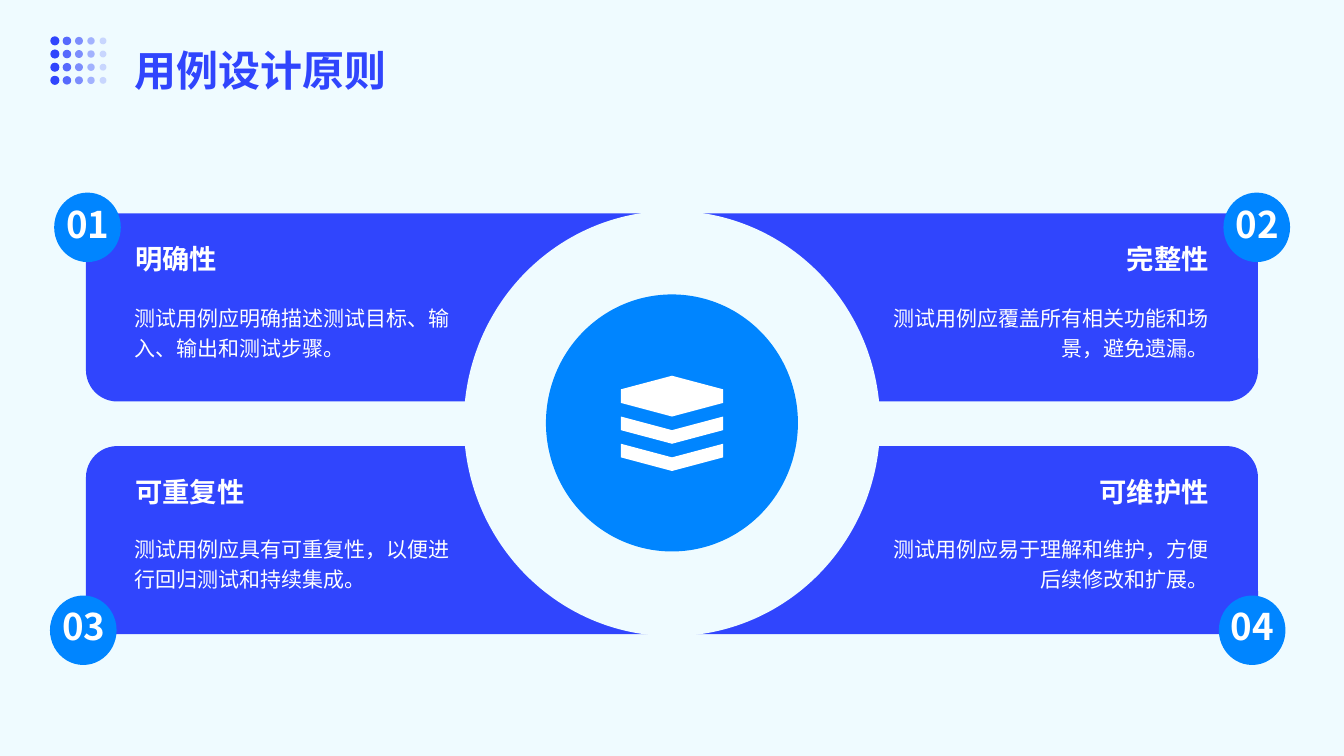
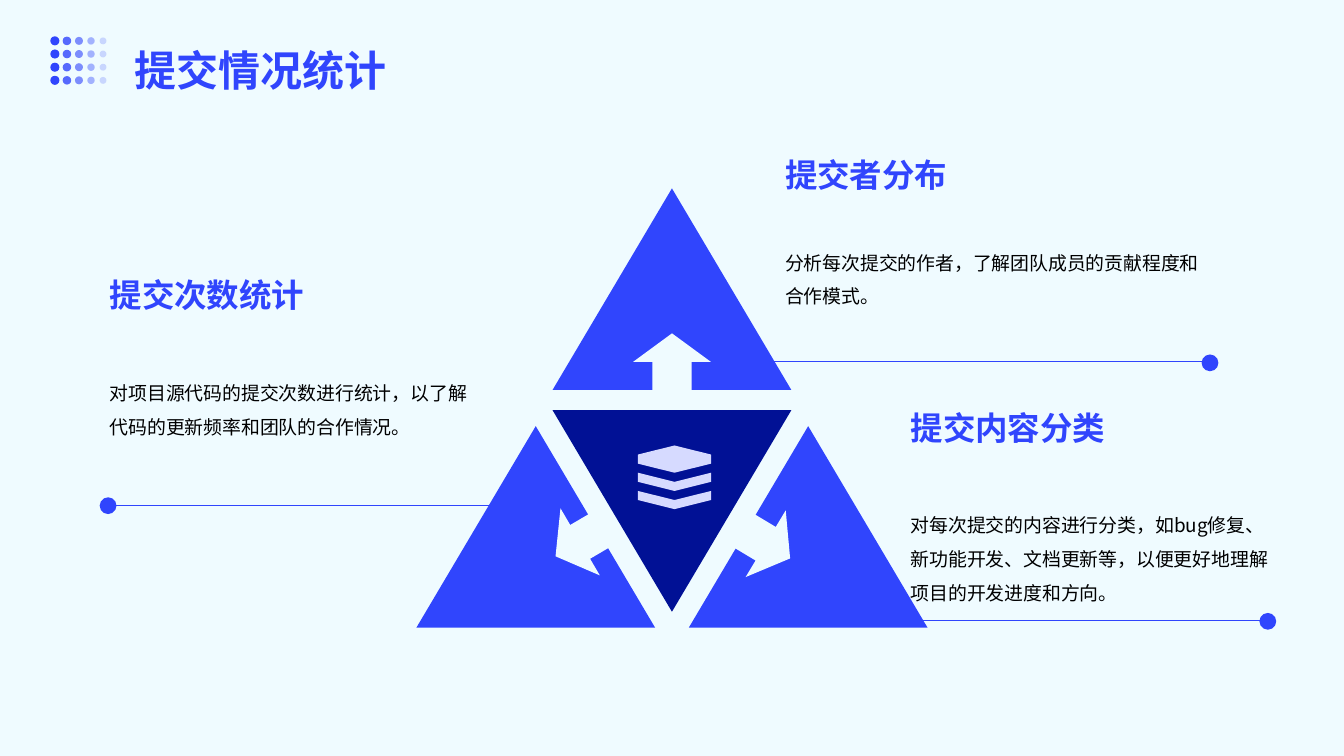
from dataclasses import dataclass

from lxml import etree
from pptx import Presentation
from pptx.dml.color import RGBColor
from pptx.enum.shapes import MSO_CONNECTOR, MSO_SHAPE
from pptx.enum.text import MSO_ANCHOR, PP_ALIGN
from pptx.oxml.ns import qn
from pptx.util import Pt

OVAL = MSO_SHAPE.OVAL
ROUND = MSO_SHAPE.ROUNDED_RECTANGLE
TRIANGLE = MSO_SHAPE.ISOSCELES_TRIANGLE
STRAIGHT = MSO_CONNECTOR.STRAIGHT
TOP = MSO_ANCHOR.TOP
LEFT = PP_ALIGN.LEFT
RIGHT = PP_ALIGN.RIGHT

WIDTH, HEIGHT = 960, 540
MIDDLE = WIDTH / 2
TIGHT = (8.64, 4.32, 8.64, 4.32)
LOOSE = (10, 10, 4.3, 10)


@dataclass(frozen=True)
class Theme:
    font: str = "Noto Sans CJK SC"
    paper: str = "EFFBFF"
    main: str = "3045FD"
    bright: str = "0085FF"
    deep: str = "011195"
    pale: str = "D6DAFF"
    white: str = "FFFFFF"
    ink: str = "000000"
    title: float = 30
    number: float = 26.2
    label: float = 23.2
    head: float = 19.5
    text: float = 15
    note: float = 13.5


THEME = Theme()


def rgb(code):
    return RGBColor.from_string(code)


class Deck:
    def __init__(self, theme):
        self.theme = theme
        self.show = Presentation()
        self.show.slide_width = Pt(WIDTH)
        self.show.slide_height = Pt(HEIGHT)
        back = self.show.slide_master.background.fill
        back.solid()
        back.fore_color.rgb = rgb(theme.paper)
        self.slide = None

    def page(self, title):
        self.slide = self.show.slides.add_slide(self.show.slide_layouts[6])
        for row in range(4):
            for col in range(5):
                self.dot(39.2 + 8.6 * col, 29.2 + 9.4 * row,
                         6.5 - 0.4 * col, alpha=100 - 20 * col)
        self.label(title, 86.4, 7.2, 787.7, 72, size=self.theme.title,
                   color=self.theme.main, bold=True, space=1.4, inset=LOOSE)

    def paint(self, shape, color, alpha=100):
        shape.shadow.inherit = False
        shape.fill.solid()
        shape.fill.fore_color.rgb = rgb(color)
        shape.line.fill.background()
        if alpha < 100:
            tint = shape._element.spPr.find(".//" + qn("a:srgbClr"))
            etree.SubElement(tint, qn("a:alpha"), val=str(alpha * 1000))
        return shape

    def shape(self, kind, x, y, w, h, color, alpha=100):
        item = self.slide.shapes.add_shape(kind, Pt(x), Pt(y), Pt(w), Pt(h))
        return self.paint(item, color, alpha)

    def dot(self, x, y, size, alpha=100):
        self.shape(OVAL, x - size / 2, y - size / 2, size, size,
                   self.theme.main, alpha)

    def outline(self, loops, color, turn=0):
        pen = None
        for loop in loops:
            first, *rest = [(Pt(x), Pt(y)) for x, y in loop]
            if pen is None:
                pen = self.slide.shapes.build_freeform(*first, scale=1.0)
            else:
                pen.move_to(*first)
            pen.add_line_segments(rest, close=True)
        item = self.paint(pen.convert_to_shape(), color)
        item.rotation = turn

    def stack(self, x, y, half, step, color):
        def band(level, lift):
            side, peak = level * step + y, (level + lift) * step + y
            low = (level + 2) * step + y
            return [(x - half, side), (x, peak), (x + half, side),
                    (x + half, side + step), (x, low), (x - half, side + step)]

        self.outline([band(1, -1), band(3, 1), band(5, 1)], color)

    def arrow(self, x, y, turn):
        wing, neck, reach = 27.8, 14, 20.4
        self.outline([[(x, y - reach), (x - wing, y), (x - neck, y),
                       (x - neck, y + reach), (x + neck, y + reach),
                       (x + neck, y), (x + wing, y)]],
                     self.theme.paper, turn)

    def rule(self, start, end, y):
        line = self.slide.shapes.add_connector(
            STRAIGHT, Pt(start), Pt(y), Pt(end), Pt(y))
        line.line.color.rgb = rgb(self.theme.main)
        line.line.width = Pt(0.75)
        etree.SubElement(line._element.spPr, qn("a:effectLst"))

    def label(self, text, x, y, w, h, *, size, color, bold=False,
              align=LEFT, space=1.0, before=0, inset=TIGHT):
        box = self.slide.shapes.add_textbox(Pt(x), Pt(y), Pt(w), Pt(h))
        frame = box.text_frame
        frame.word_wrap = True
        frame.vertical_anchor = TOP
        (frame.margin_left, frame.margin_top,
         frame.margin_right, frame.margin_bottom) = map(Pt, inset)
        para = frame.paragraphs[0]
        para.alignment = align
        para.line_spacing = space
        para.space_before = Pt(before)
        run = para.add_run()
        run.text = text
        font = run.font
        font.size = Pt(size)
        font.bold = bold
        font.color.rgb = rgb(color)
        font.name = self.theme.font
        etree.SubElement(font._element, qn("a:ea"), typeface=self.theme.font)


def rules(deck):
    theme = deck.theme
    cards = [
        ("01", "明确性", "测试用例应明确描述测试目标、输入、输出和测试步骤。", 38.7),
        ("02", "完整性", "测试用例应覆盖所有相关功能和场景，避免遗漏。", 873.9),
        ("03", "可重复性", "测试用例应具有可重复性，以便进行回归测试和持续集成。", 35.7),
        ("04", "可维护性", "测试用例应易于理解和维护，方便后续修改和扩展。", 870.6),
    ]
    rows = [(152.4, 170.2, 210.2, 137.6), (318.6, 336.5, 375.1, 425.4)]

    def place(left, wide, side):
        return WIDTH - left - wide if side else left

    deck.page("用例设计原则")
    for index in range(len(cards)):
        row, side = divmod(index, 2)
        deck.shape(ROUND, place(61.4, 433.4, side), rows[row][0],
                   433.4, 134.4, theme.main)
    deck.shape(OVAL, MIDDLE - 148.7, 150.6, 297.4, 303.8, theme.paper)
    deck.shape(OVAL, MIDDLE - 90, 210.3, 180, 183.6, theme.bright)
    deck.stack(MIDDLE, 268.4, 36.5, 9.72, theme.white)
    for index, (number, head, body, spot) in enumerate(cards):
        row, side = divmod(index, 2)
        top, low, badge = rows[row][1:]
        align = RIGHT if side else LEFT
        deck.label(head, place(87.8, 190, side), top, 190, 32.4,
                   size=theme.head, color=theme.white, bold=True,
                   align=align, space=0.96)
        deck.label(body, place(87.8, 257, side), low, 257, 54,
                   size=theme.text, color=theme.white,
                   align=align, space=1.2)
        deck.shape(OVAL, spot, badge, 47.6, 49.6, theme.bright)
        deck.label(number, spot, badge + 4, 60, 40.3, size=theme.number,
                   color=theme.white, bold=True, space=0.96, before=4.5)


def counts(deck):
    theme = deck.theme
    notes = [
        ("提交者分布", "分析每次提交的作者，了解团队成员的贡献程度和合作模式。",
         550.8, 95, 161.3, 319, (537, 860.4, 258.5), (864.3, 259.2)),
        ("提交内容分类",
         "对每次提交的内容进行分类，如bug修复、新功能开发、文档更新等，以便更好地理解项目的开发进度和方向。",
         640.5, 275.8, 348.5, 274.3, (578, 902, 443), (905.6, 443.8)),
        ("提交次数统计",
         "对项目源代码的提交次数进行统计，以了解代码的更新频率和团队的合作情况。",
         68.4, 181, 254.2, 274.3, (71.3, 370, 361.2), (77.2, 361.2)),
    ]
    half, tall = 85.3, 144

    deck.page("提交情况统计")
    deck.outline([[(MIDDLE - half, 293), (MIDDLE, 293 + tall),
                   (MIDDLE + half, 293)]], theme.deep)
    for shift, y in ((97.3, 304.4), (-97.3, 304.4), (0, 134.6)):
        deck.shape(TRIANGLE, MIDDLE + shift - half, y, 2 * half, tall,
                   theme.main)
    for x, y, turn in ((MIDDLE, 258.5, 0), (546.9, 388.4, 121),
                       (414.4, 387, 239.6)):
        deck.arrow(x, y, turn)
    for head, body, x, top, low, wide, line, end in notes:
        deck.rule(*line)
        deck.dot(*end, 12)
        deck.label(head, x, top, 274.3, 88.6, size=theme.label,
                   color=theme.main, bold=True, space=1.2, inset=LOOSE)
        deck.label(body, x, low, wide, 95, size=theme.note,
                   color=theme.ink, space=1.5, inset=LOOSE)
    deck.stack(481.8, 318.2, 26.1, 6.5, theme.pale)


def main():
    deck = Deck(THEME)
    rules(deck)
    counts(deck)
    deck.show.save("out.pptx")


if __name__ == "__main__":
    main()
